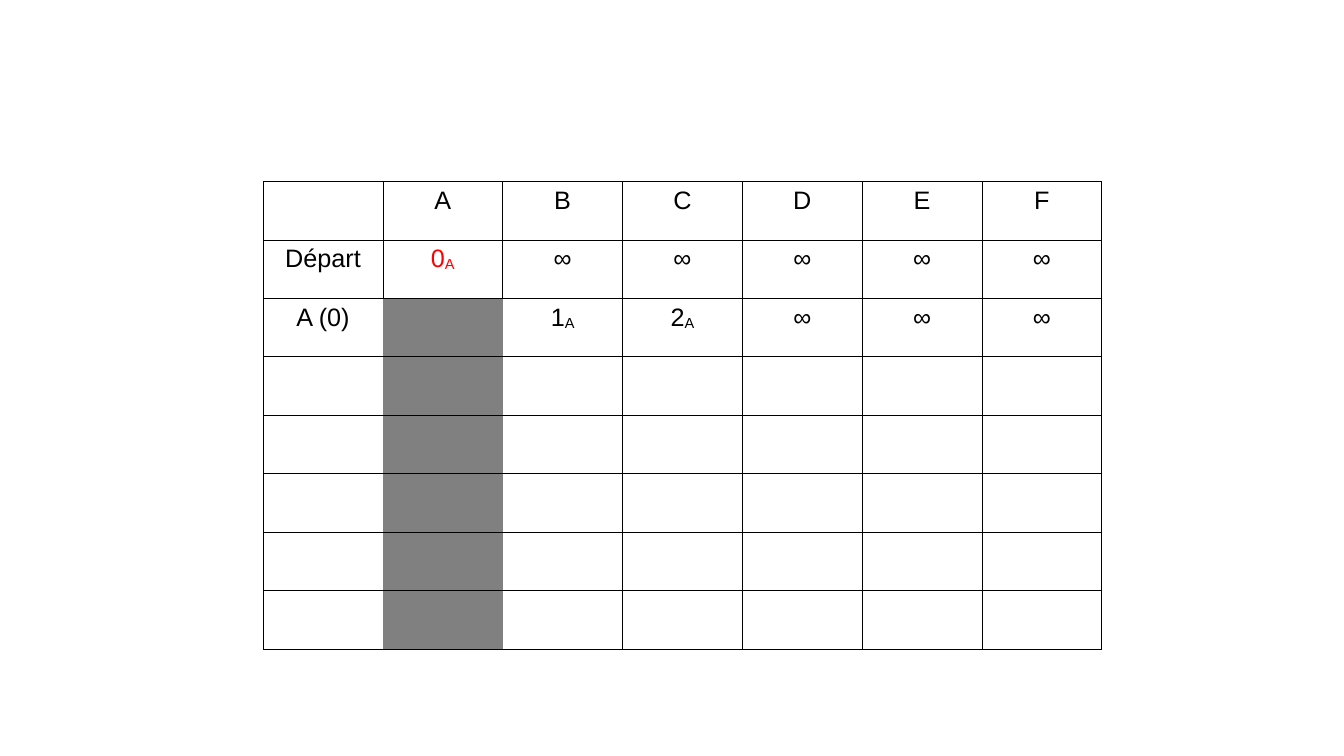
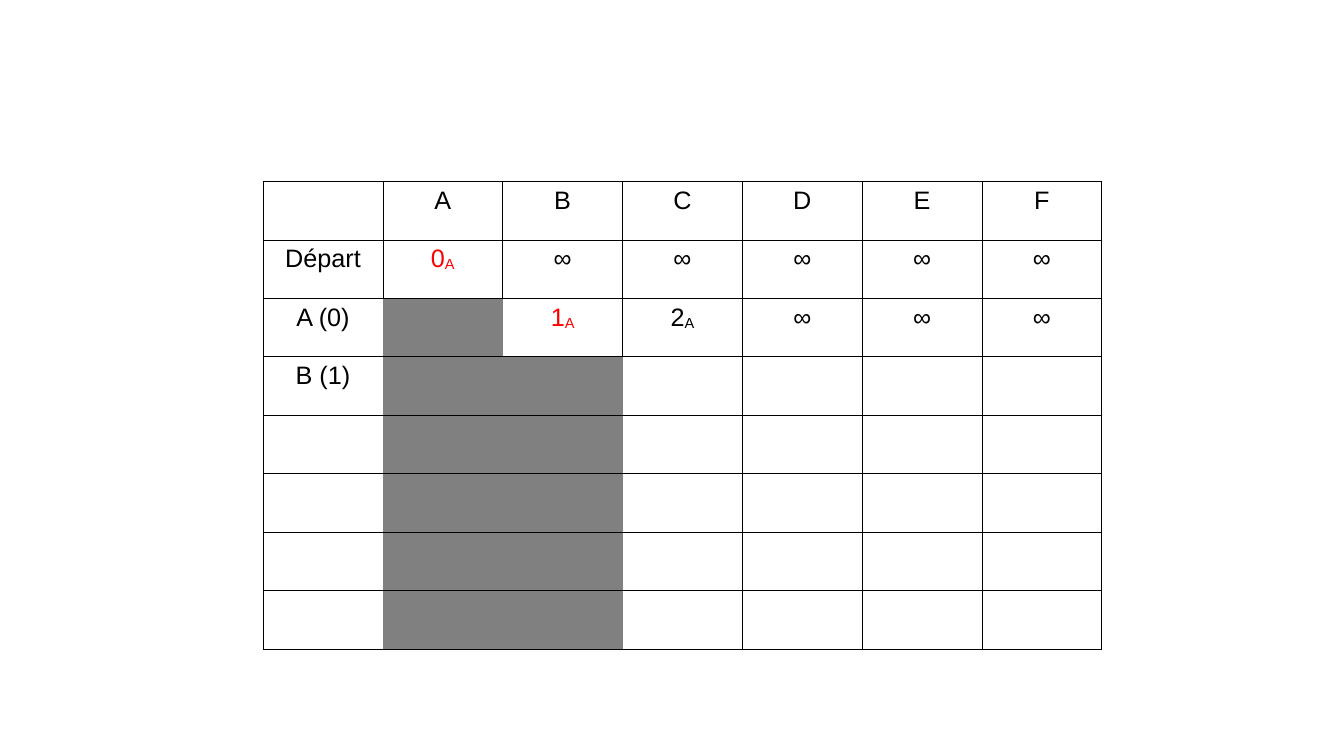
from lxml.etree import SubElement
from pptx import Presentation
from pptx.dml.color import RGBColor
from pptx.enum.text import PP_ALIGN
from pptx.oxml.ns import qn
from pptx.util import Inches, Pt

VERTICES = "ABCDEF"
ROW_COUNT = 8


class Deck:
    """Holds the style and the current slide."""

    FONT, SIZE = "Arial", Pt(18)
    BORDER = Pt(0.57)
    COLORS = {"text": "000000", "line": "000000",
              "chosen": "FF0000", "done": "808080"}

    def __init__(self):
        self.prs = Presentation()
        self.prs.slide_width = Inches(13.33)
        self.prs.slide_height = Inches(7.5)
        self.slide = None

    def color(self, name):
        return RGBColor.from_string(self.COLORS[name])

    def add_slide(self):
        self.slide = self.prs.slides.add_slide(self.prs.slide_layouts[6])

    def set_borders(self, cell, hidden):
        tcPr = cell._tc.get_or_add_tcPr()
        for side in ("L", "R", "T", "B"):
            ln = SubElement(tcPr, qn(f"a:ln{side}"), w=str(self.BORDER))
            if side in hidden:
                SubElement(ln, qn("a:noFill"))
            else:
                fill = SubElement(ln, qn("a:solidFill"))
                SubElement(fill, qn("a:srgbClr"), val=self.COLORS["line"])

    def set_text(self, cell, text, color):
        """Write text; whatever follows an underscore is lowered."""
        cell.margin_left = cell.margin_right = Inches(0.04)
        cell.margin_top = cell.margin_bottom = Inches(0.05)
        p = cell.text_frame.paragraphs[0]
        p.alignment = PP_ALIGN.CENTER
        p.font.size = self.SIZE
        for i, part in enumerate(text.split("_") if text else []):
            r = p.add_run()
            r.text = part
            r.font.name, r.font.size = self.FONT, self.SIZE
            r.font.color.rgb = self.color(color)
            if i:
                r._r.get_or_add_rPr().set("baseline", "-8000")

    def add_distance_table(self, rows, chosen):
        """Row n + 1 picks chosen[n]; its column is closed below that row."""
        grid = [["", *VERTICES], *rows]
        col_count = len(VERTICES) + 1
        grid += [[""] * col_count] * (ROW_COUNT - len(grid))
        picked = {VERTICES.index(v) + 1: n for n, v in enumerate(chosen, 1)}

        def is_done(row, col):
            return row > picked.get(col, ROW_COUNT)

        table = self.slide.shapes.add_table(
            ROW_COUNT, col_count, Inches(2.61), Inches(1.8),
            Inches(8.32), Inches(4.64)).table
        table.first_row = table.horz_banding = False

        for row, texts in enumerate(grid):
            for col, text in enumerate(texts):
                cell = table.cell(row, col)
                done = is_done(row, col)
                # Closed columns have no vertical borders
                hidden = [side for side, beside in (("L", col - 1), ("R", col + 1))
                          if done or is_done(row, beside)]
                self.set_borders(cell, hidden)
                if done:
                    cell.fill.solid()
                    cell.fill.fore_color.rgb = self.color("done")
                else:
                    cell.fill.background()
                is_chosen = picked.get(col) == row
                self.set_text(cell, "" if done else text,
                              "chosen" if is_chosen else "text")


def main():
    deck = Deck()
    steps = [
        ["Départ", "0_A", *"∞∞∞∞∞"],
        ["A (0)", "", "1_A", "2_A", *"∞∞∞"],
        ["B (1)", *[""] * len(VERTICES)],
    ]

    # One slide per chosen vertex
    for chosen in ("A", "AB"):
        deck.add_slide()
        deck.add_distance_table(steps[:len(chosen) + 1], chosen)

    deck.prs.save("out.pptx")


if __name__ == "__main__":
    main()
